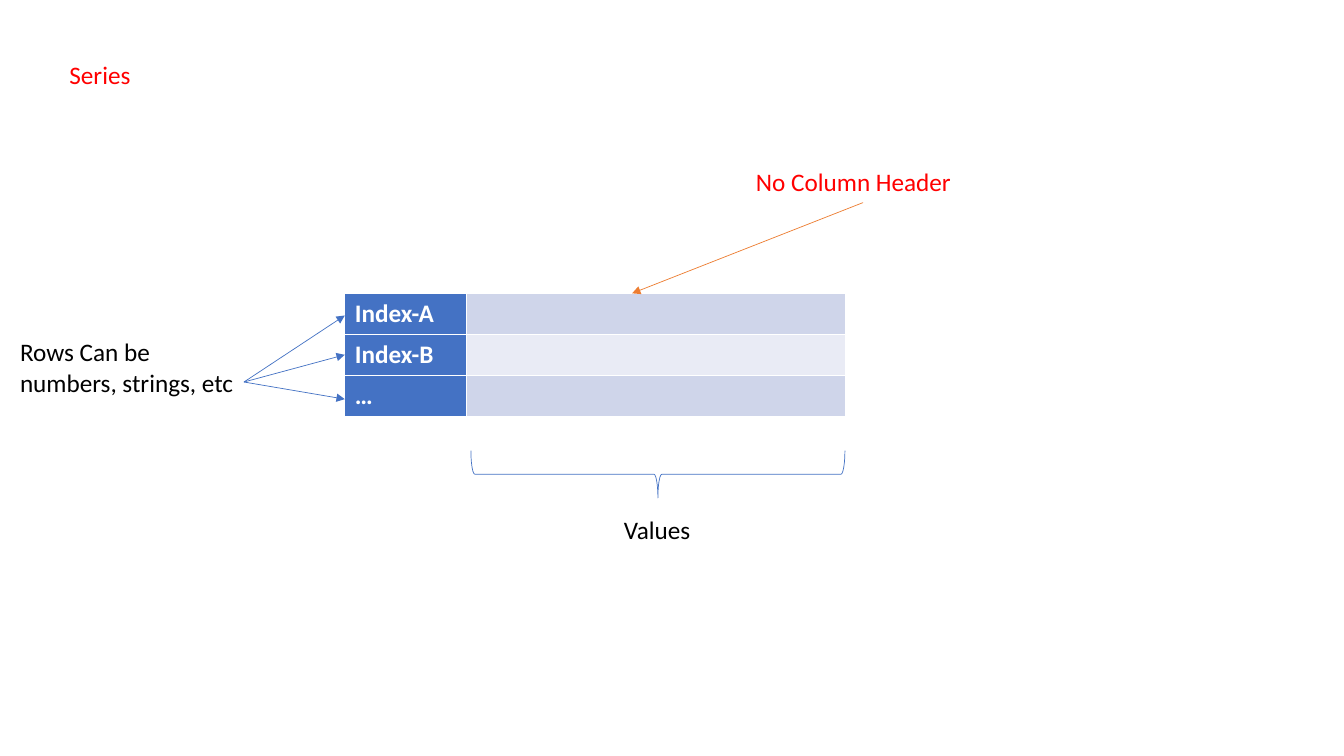
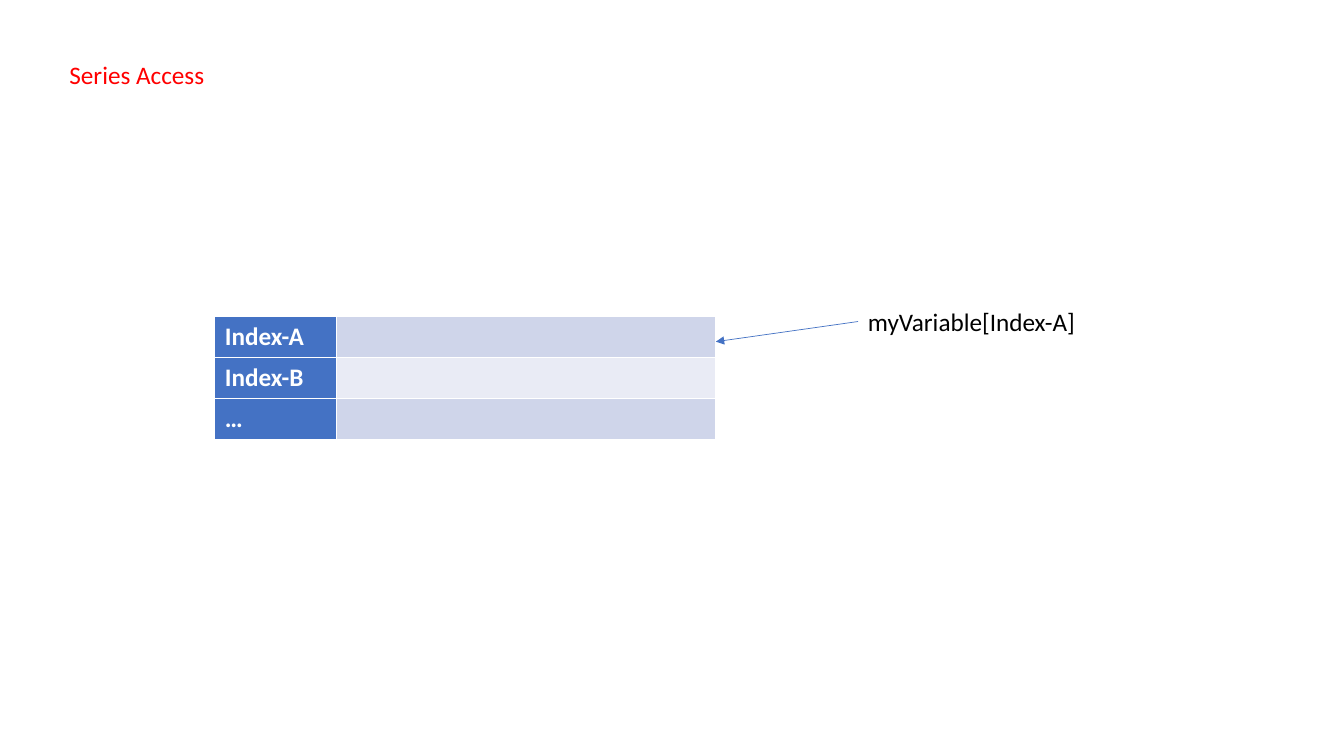
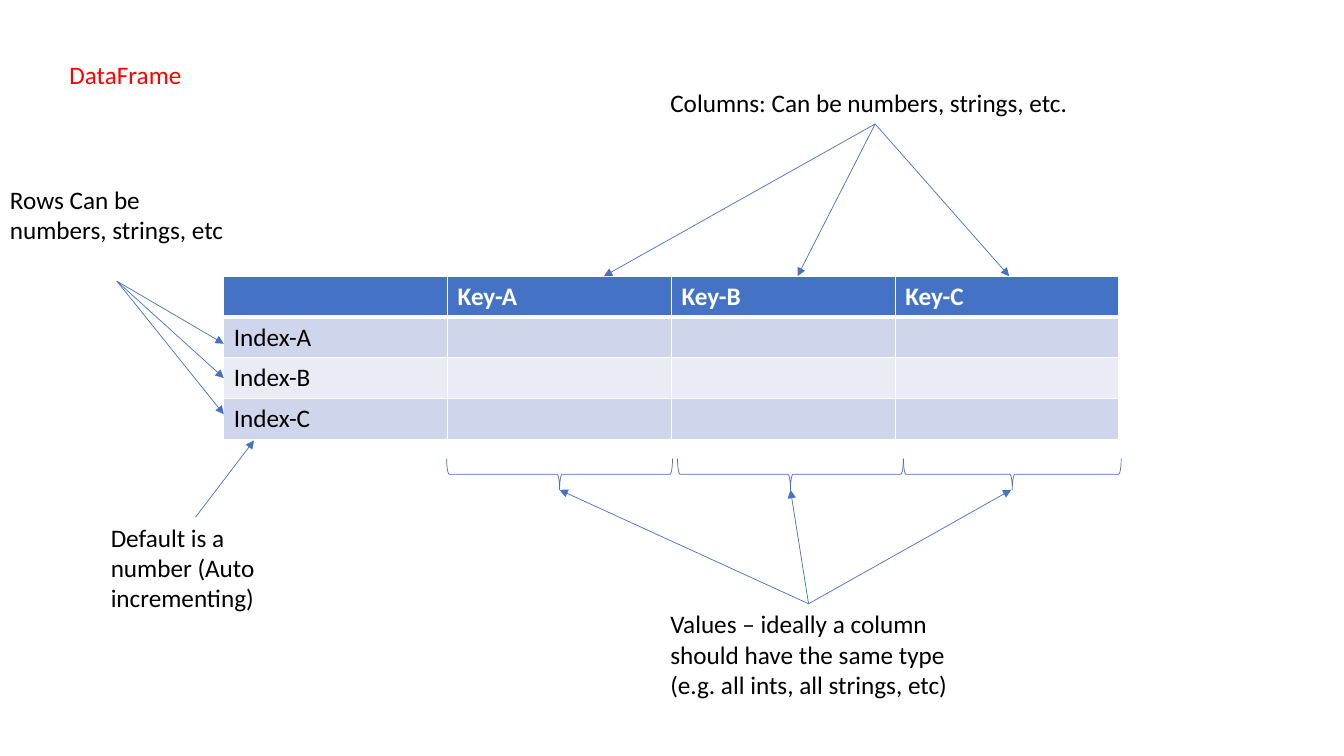
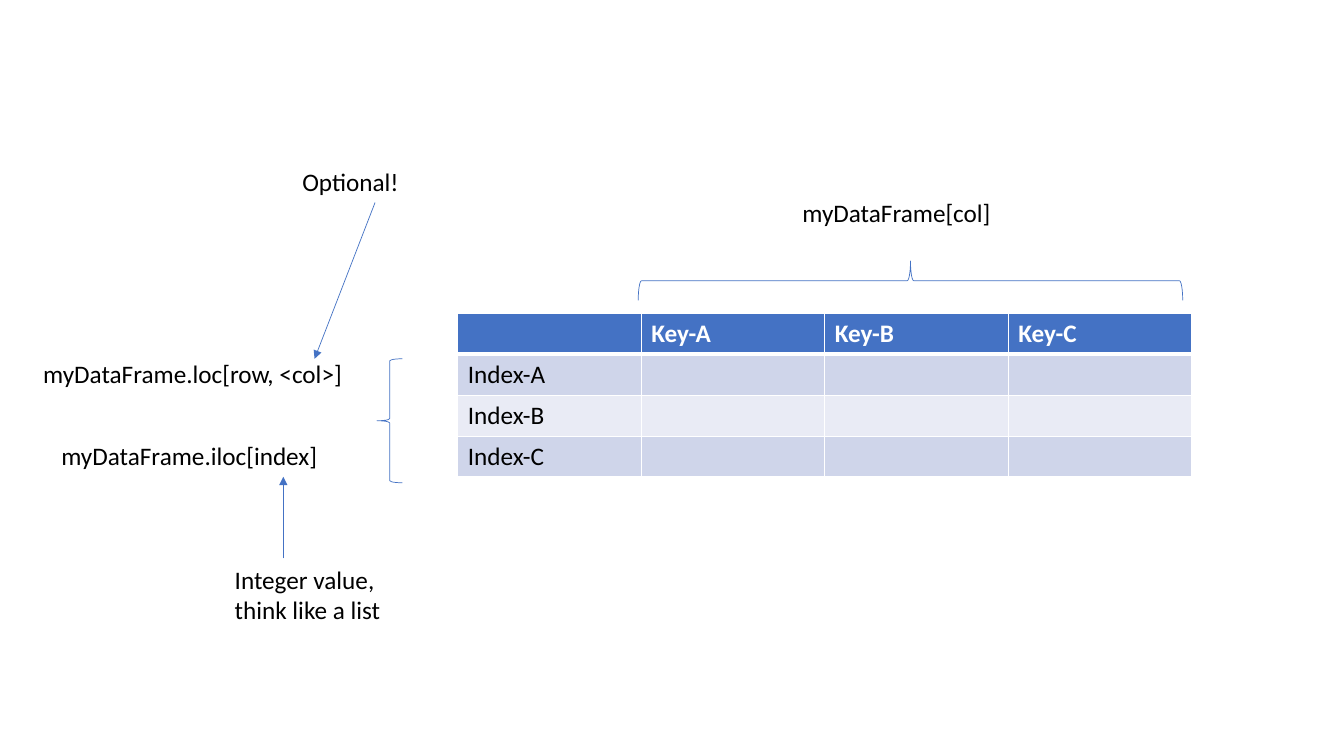
from lxml.etree import SubElement
from pptx import Presentation
from pptx.dml.color import RGBColor
from pptx.enum.shapes import MSO_CONNECTOR, MSO_SHAPE
from pptx.enum.text import MSO_AUTO_SIZE
from pptx.oxml.ns import qn
from pptx.util import Inches, Pt

BLUE, ORANGE, RED = "4472C4", "ED7D31", "FF0000"
WHITE, BLACK = "FFFFFF", "000000"
BANDS = ("CFD5EA", "E9EBF5")
FONT = {"name": "Calibri", "size": Pt(18)}
TITLE_PLACE = (0.59, 0.54, 3.33)
LINE_HEIGHT, BOX_PADDING = 0.3, 0.1
LINE_WIDTH, BORDER_WIDTH, HEADER_BORDER_WIDTH = 0.5, 1, 3

ROWS_NOTE = "Rows Can be numbers, strings, etc"
SERIES = {
    "rows": [["Index-A", ""], ["Index-B", ""], ["…", ""]],
    "widths": [1.21, 3.76],
    "height": 1.22,
    "header": "column",
}
FRAME = {
    "rows": [["", "Key-A", "Key-B", "Key-C"]]
    + [[name, "", "", ""] for name in ("Index-A", "Index-B", "Index-C")],
    "height": 1.62,
    "header": "row",
}

SLIDES = [
    {
        "title": "Series",
        "table": {**SERIES, "place": (3.42, 2.91)},
        "texts": [
            ("Values", (6.09, 5.05, 0.88), 1, BLACK),
            (ROWS_NOTE, (0.1, 3.29, 2.32), 2, BLACK),
            ("No Column Header", (7.4, 1.6, 2.33), 1, RED),
        ],
        "braces": [("down", (4.67, 4.47, 3.71, 0.47))],
        "arrows": [
            ((2.42, 3.79), [(3.42, 3.13), (3.42, 3.52), (3.42, 3.96)], BLUE),
            ((8.56, 2.01), [(6.27, 2.91)], ORANGE),
        ],
    },
    {
        "title": "Series Access",
        "table": {**SERIES, "place": (2.13, 3.14)},
        "texts": [("myVariable[Index-A]", (8.51, 2.99, 4.29), 1, BLACK)],
        "braces": [],
        "arrows": [((8.51, 3.19), [(7.1, 3.39)], BLUE)],
    },
    {
        "title": "DataFrame",
        "table": {**FRAME, "place": (2.22, 2.74), "widths": [2.22] * 4},
        "texts": [
            ("Columns: Can be numbers, strings, etc.", (6.55, 0.82, 4.25), 1, BLACK),
            (ROWS_NOTE, (0, 1.78, 2.32), 2, BLACK),
            ("Default is a number (Auto incrementing)", (1, 5.13, 1.88), 3, BLACK),
            ("Values – ideally a column should have the same type "
             "(e.g. all ints, all strings, etc)", (6.55, 5.99, 2.95), 3, BLACK),
        ],
        "braces": [
            ("down", (4.43, 4.55, 2.24, 0.31)),
            ("down", (6.72, 4.55, 2.24, 0.31)),
            ("down", (8.96, 4.55, 2.16, 0.31)),
        ],
        "arrows": [
            ((8.68, 1.23), [(5.99, 2.74), (7.91, 2.74), (10.01, 2.74)], BLUE),
            ((1.16, 2.79), [(2.22, 3.41), (2.22, 3.75), (2.22, 4.11)], BLUE),
            ((1.94, 5.13), [(2.52, 4.37)], BLUE),
            ((8.02, 5.99), [(5.55, 4.86), (7.84, 4.86), (10.03, 4.86)], BLUE),
        ],
    },
    {
        "title": None,
        "table": {**FRAME, "place": (4.54, 3.11), "widths": [1.82] * 4},
        "texts": [
            ("myDataFrame.loc[row, <col>]", (0.33, 3.51, 3.27), 1, BLACK),
            ("myDataFrame[col]", (7.86, 1.91, 2.36), 1, BLACK),
            ("myDataFrame.iloc[index]", (0.51, 4.32, 2.92), 1, BLACK),
            ("Optional!", (2.9, 1.6, 1.64), 1, BLACK),
            ("Integer value, think like a list", (2.23, 5.55, 1.76), 2, BLACK),
        ],
        "braces": [
            ("left", (3.74, 3.56, 0.25, 1.23)),
            ("up", (6.33, 2.59, 5.4, 0.39)),
        ],
        "arrows": [
            ((3.72, 2.01), [(3.12, 3.56)], BLUE),
            ((2.81, 5.54), [(2.81, 4.73)], BLUE),
        ],
    },
]

BRACES = {
    "down": (MSO_SHAPE.RIGHT_BRACE, 90),
    "up": (MSO_SHAPE.LEFT_BRACE, 90),
    "left": (MSO_SHAPE.LEFT_BRACE, 0),
}


def color(value):
    return RGBColor.from_string(value)


def write(text_frame, text, text_color, bold=False):
    paragraph = text_frame.paragraphs[0]
    paragraph.text = text
    for font in (paragraph.font, *(run.font for run in paragraph.runs)):
        for name, value in {**FONT, "bold": bold}.items():
            setattr(font, name, value)
        font.color.rgb = color(text_color)


def add_text(slide, text, place, lines, text_color):
    height = lines * LINE_HEIGHT + BOX_PADDING
    box = slide.shapes.add_textbox(*map(Inches, (*place, height)))
    box.text_frame.word_wrap = True
    box.text_frame.auto_size = MSO_AUTO_SIZE.SHAPE_TO_FIT_TEXT
    write(box.text_frame, text, text_color)


def set_line(shape, line_color):
    shape.line.color.rgb = color(line_color)
    shape.line.width = Pt(LINE_WIDTH)


def add_brace(slide, direction, place):
    left, top, width, height = place
    preset, rotation = BRACES[direction]
    if rotation:
        left += (width - height) / 2
        top -= (width - height) / 2
        width, height = height, width
    brace = slide.shapes.add_shape(preset, *map(Inches, (left, top, width, height)))
    brace.rotation = rotation
    brace.shadow.inherit = False
    brace.fill.background()
    set_line(brace, BLUE)


def add_arrow(slide, start, end, line_color):
    arrow = slide.shapes.add_connector(
        MSO_CONNECTOR.STRAIGHT, *map(Inches, (*start, *end)))
    set_line(arrow, line_color)
    SubElement(arrow.line._get_or_add_ln(), qn("a:tailEnd"), type="triangle")
    SubElement(arrow._element.spPr, qn("a:effectLst"))


def set_borders(cell, widths):
    properties = cell._tc.get_or_add_tcPr()
    for side, width in zip("LRTB", widths):
        border = SubElement(properties, qn(f"a:ln{side}"), w=str(Pt(width)))
        fill = SubElement(border, qn("a:solidFill"))
        SubElement(fill, qn("a:srgbClr"), val=WHITE)


def add_table(slide, place, rows, widths, height, header):
    shape = slide.shapes.add_table(
        len(rows), len(widths), *map(Inches, (*place, sum(widths), height)))
    table = shape.table
    by_row = header == "row"
    table.first_row, table.first_col = by_row, not by_row
    for column, width in zip(table.columns, widths):
        column.width = Inches(width)
    for row_number, row in enumerate(rows):
        top = HEADER_BORDER_WIDTH if by_row and row_number == 1 else BORDER_WIDTH
        bottom = HEADER_BORDER_WIDTH if by_row and row_number == 0 else BORDER_WIDTH
        band = BANDS[(row_number - by_row) % 2]
        for column_number, text in enumerate(row):
            is_header = (row_number if by_row else column_number) == 0
            cell = table.cell(row_number, column_number)
            set_borders(cell, (BORDER_WIDTH, BORDER_WIDTH, top, bottom))
            cell.fill.solid()
            cell.fill.fore_color.rgb = color(BLUE if is_header else band)
            write(cell.text_frame, text, WHITE if is_header else BLACK, is_header)


presentation = Presentation()
presentation.slide_width = Inches(13.33)
presentation.slide_height = Inches(7.5)
for content in SLIDES:
    slide = presentation.slides.add_slide(presentation.slide_layouts[6])
    if content["title"]:
        add_text(slide, content["title"], TITLE_PLACE, 1, RED)
    add_table(slide, **content["table"])
    for brace in content["braces"]:
        add_brace(slide, *brace)
    for text in content["texts"]:
        add_text(slide, *text)
    for start, ends, line_color in content["arrows"]:
        for end in ends:
            add_arrow(slide, start, end, line_color)
presentation.save("out.pptx")
